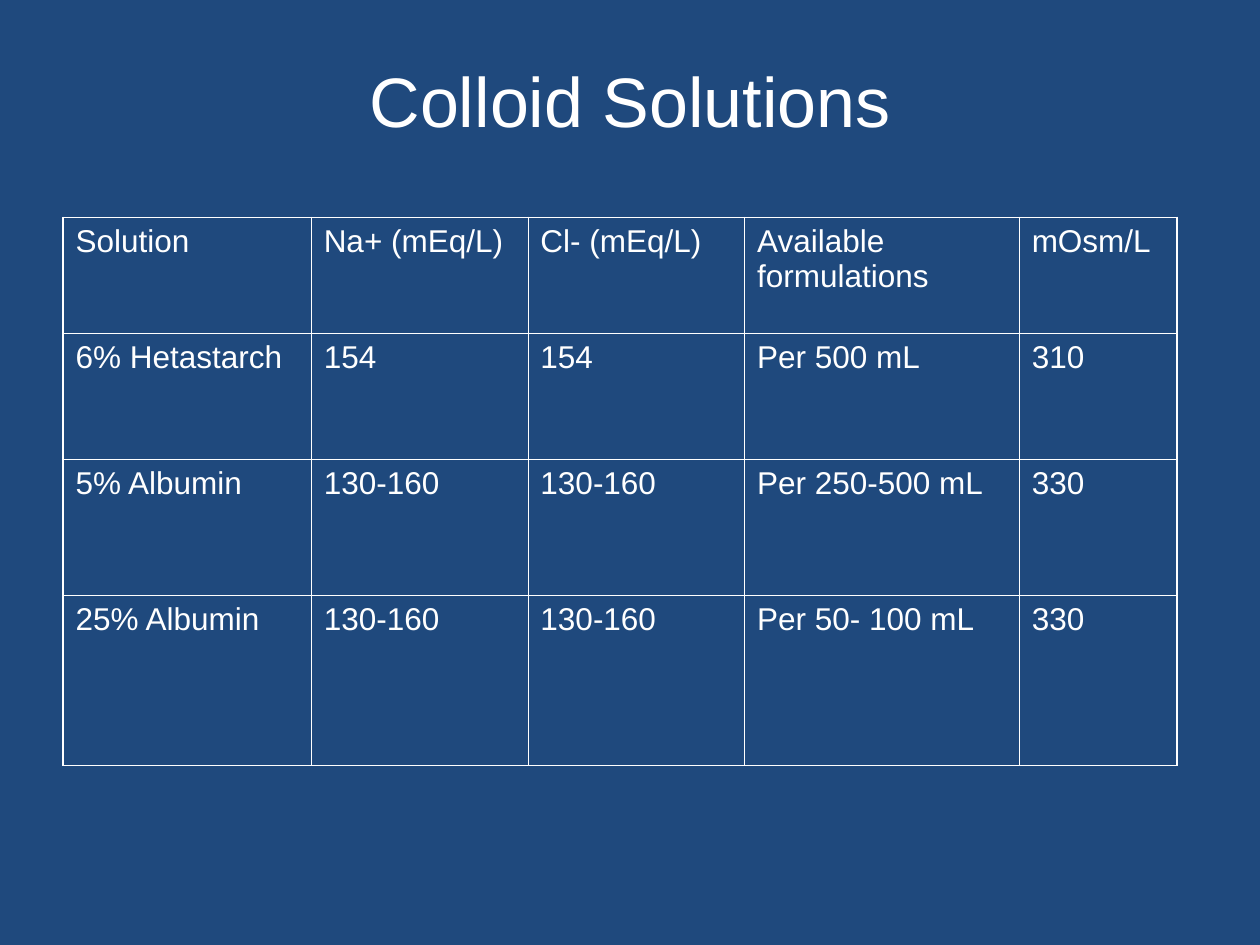
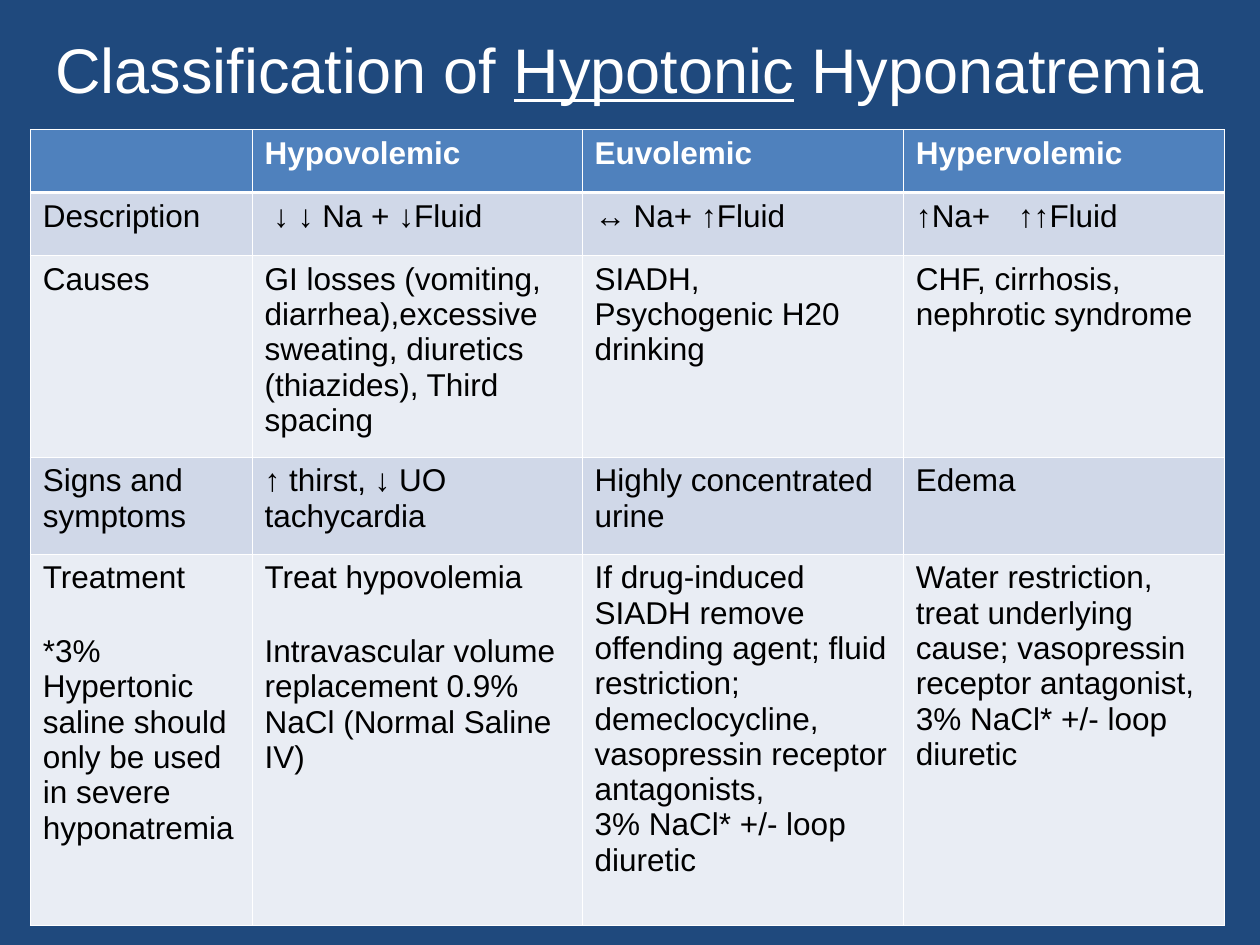
"""Build two slides with tables on colloid solutions and hypotonic hyponatremia."""
import pptx
import pptx.dml.color
import pptx.enum.text
import pptx.oxml
import pptx.oxml.ns
import pptx.util

FONT = "Arial"
NAVY, WHITE, BLACK = "1F497D", "FFFFFF", "000000"
HEADER_BLUE, BAND_DARK, BAND_LIGHT = "4F81BD", "D0D8E8", "E9EDF4"
THIN, FRAME, HEADER_RULE = 0.45, 1.08, 1.47
BULLET = "↔ "
NAMESPACE = pptx.oxml.ns.nsdecls("a")


def color(value):
    """Turn a hex string into a colour."""
    return pptx.dml.color.RGBColor.from_string(value)


def write_runs(paragraph, text, base, marked):
    """Write text as runs, with every second part between bars in the marked format."""
    for index, part in enumerate(text.split("|")):
        if part:
            run = paragraph.add_run()
            run.text = part
            settings = {"name": FONT, **base, **(marked if index % 2 else {})}
            run.font.color.rgb = color(settings.pop("color"))
            for name, value in settings.items():
                setattr(run.font, name, value)


slides = [
    {
        "title": "Colloid Solutions",
        "title_size": 40,
        "title_box": (0.075, 0.044, 0.85, 0.123),
        "table_corner": (0.05, 0.23),
        "columns": [1.97, 1.72, 1.72, 2.18, 1.25],
        "rows": [0.92, 1, 1.08, 1.35],
        "vertical_rules": [FRAME] + [THIN] * 4 + [FRAME],
        "horizontal_rules": [FRAME] + [THIN] * 3 + [FRAME],
        "fills": [None] * 4,
        "header_font": {"color": WHITE, "bold": False},
        "body_font": {"color": WHITE, "bold": False},
        "cells": [
            ["Solution", "Na+ (mEq/L)", "Cl- (mEq/L)", "Available formulations", "mOsm/L"],
            ["6% Hetastarch", "154", "154", "Per 500 mL", "310"],
            ["5% Albumin", "130-160", "130-160", "Per 250-500 mL", "330"],
            ["25% Albumin", "130-160", "130-160", "Per 50- 100 mL", "330"],
        ],
    },
    {
        "title": "Classification of |Hypotonic| Hyponatremia ",
        "title_size": 36,
        "title_box": (0.027, 0.003, 0.945, 0.139),
        "table_corner": (0.024, 0.137),
        "columns": [1.76, 2.62, 2.55, 2.55],
        "rows": [0.5, 0.5, 1.6, 0.77, 2.95],
        "vertical_rules": [THIN] * 5,
        "horizontal_rules": [THIN, HEADER_RULE] + [THIN] * 4,
        "fills": [HEADER_BLUE] + [BAND_DARK, BAND_LIGHT] * 2,
        "header_font": {"color": WHITE, "bold": True},
        "body_font": {"color": BLACK, "bold": False},
        "cells": [
            ["", "Hypovolemic", "Euvolemic", "Hypervolemic"],
            ["Description", " ↓ ↓ Na + ↓Fluid", "↔ Na+ |↑|Fluid", "|↑|Na+\t|↑↑|Fluid"],
            [
                "Causes",
                "GI losses (vomiting, diarrhea),excessive sweating, diuretics (thiazides), "
                "Third spacing",
                "SIADH,\nPsychogenic H20 drinking",
                "CHF, cirrhosis, nephrotic syndrome",
            ],
            [
                "Signs and symptoms",
                "|↑| thirst, ↓ UO tachycardia",
                "Highly concentrated urine",
                "Edema",
            ],
            [
                "Treatment\n\n*3% Hypertonic saline should only be used in severe hyponatremia",
                "Treat hypovolemia\n\nIntravascular volume replacement 0.9% NaCl "
                "(Normal Saline IV)",
                "If drug-induced SIADH remove offending agent; fluid restriction; "
                "demeclocycline, vasopressin receptor antagonists,\n"
                "3% NaCl* +/- loop diuretic",
                "Water restriction, treat underlying cause; vasopressin receptor antagonist, "
                "3% NaCl* +/- loop diuretic",
            ],
        ],
    },
]

presentation = pptx.Presentation()
presentation.slide_width = pptx.util.Inches(10)
presentation.slide_height = pptx.util.Inches(7.5)
width, height = presentation.slide_width, presentation.slide_height
background = presentation.slide_master.background.fill
background.solid()
background.fore_color.rgb = color(NAVY)

for content in slides:
    slide = presentation.slides.add_slide(presentation.slide_layouts[5])
    title = slide.shapes.title
    for name, share, whole in zip(
        ("left", "top", "width", "height"), content["title_box"], (width, height) * 2
    ):
        setattr(title, name, round(share * whole))
    frame_format = {
        "word_wrap": True,
        "auto_size": pptx.enum.text.MSO_AUTO_SIZE.NONE,
        "vertical_anchor": pptx.enum.text.MSO_ANCHOR.MIDDLE,
    }
    for name, value in frame_format.items():
        setattr(title.text_frame, name, value)
    paragraph = title.text_frame.paragraphs[0]
    paragraph.alignment = pptx.enum.text.PP_ALIGN.CENTER
    title_font = {"size": pptx.util.Pt(content["title_size"]), "color": WHITE}
    write_runs(paragraph, content["title"], title_font, {"underline": True})

    columns, rows = content["columns"], content["rows"]
    left, top = content["table_corner"]
    table = slide.shapes.add_table(
        len(rows), len(columns), round(left * width), round(top * height),
        pptx.util.Inches(sum(columns)), pptx.util.Inches(sum(rows)),
    ).table
    table.first_row = table.horz_banding = False
    for column, size in zip(table.columns, columns):
        column.width = pptx.util.Inches(size)
    for row, size in zip(table.rows, rows):
        row.height = pptx.util.Inches(size)

    vertical, horizontal = content["vertical_rules"], content["horizontal_rules"]
    for row_index, texts in enumerate(content["cells"]):
        font = content["body_font"] if row_index else content["header_font"]
        cell_font = {"size": pptx.util.Pt(18), **font}
        fill_color = content["fills"][row_index]
        for column_index, text in enumerate(texts):
            cell = table.cell(row_index, column_index)
            if fill_color:
                cell.fill.solid()
                cell.fill.fore_color.rgb = color(fill_color)
            else:
                cell.fill.background()
            borders = {
                "lnL": vertical[column_index],
                "lnR": vertical[column_index + 1],
                "lnT": horizontal[row_index],
                "lnB": horizontal[row_index + 1],
            }
            cell_properties = cell._tc.get_or_add_tcPr()
            for position, (tag, points) in enumerate(borders.items()):
                cell_properties.insert(position, pptx.oxml.parse_xml(
                    f'<a:{tag} {NAMESPACE} w="{pptx.util.Pt(points)}"><a:solidFill>'
                    f'<a:srgbClr val="{WHITE}"/></a:solidFill></a:{tag}>'
                ))

            for block_index, block in enumerate(text.split("\n\n")):
                for line_index, line in enumerate(block.split("\n")):
                    if block_index or line_index:
                        paragraph = cell.text_frame.add_paragraph()
                    else:
                        paragraph = cell.text_frame.paragraphs[0]
                    if block_index and not line_index:
                        paragraph.space_before = pptx.util.Pt(22)
                    properties = paragraph._p.get_or_add_pPr()
                    if line.startswith(BULLET):
                        indent = pptx.util.Inches(0.31)
                        properties.set("marL", str(indent))
                        properties.set("indent", str(-indent))
                        for element in (f'buFont {NAMESPACE} typeface="{FONT}"',
                                        f'buChar {NAMESPACE} char="{BULLET.strip()}"'):
                            properties.append(pptx.oxml.parse_xml(f"<a:{element}/>"))
                    if "\t" in line:
                        properties.append(pptx.oxml.parse_xml(
                            f'<a:tabLst {NAMESPACE}><a:tab pos="{pptx.util.Inches(0.81)}" '
                            'algn="l"/></a:tabLst>'
                        ))
                    write_runs(paragraph, line.removeprefix(BULLET), cell_font, {"bold": True})

presentation.save("out.pptx")
